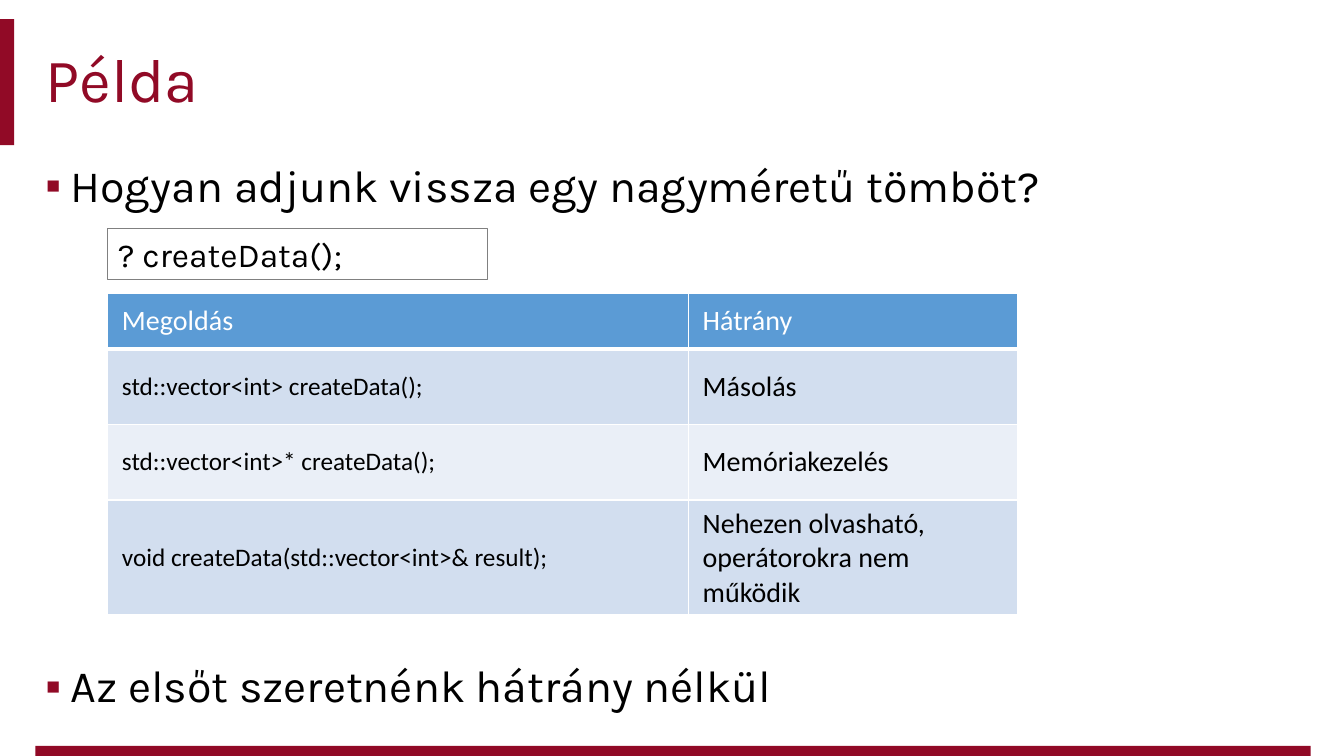
"""Build the slide on ways of returning a large array."""
from lxml.etree import SubElement
from pptx import Presentation
from pptx.dml.color import RGBColor
from pptx.enum.shapes import MSO_SHAPE
from pptx.enum.text import MSO_ANCHOR, MSO_AUTO_SIZE, PP_ALIGN
from pptx.oxml.ns import qn
from pptx.util import Inches, Pt


def color(hex_text):
    """Turn a hex string into a colour."""
    return RGBColor.from_string(hex_text)


def box(*lengths):
    """Turn lengths in inches into slide units."""
    return [Inches(length) for length in lengths]


class ExampleSlide:
    """Hold the style and the current slide."""

    ACCENT, BLACK, WHITE, GRAY = "910A26", "000000", "FFFFFF", "808080"
    HEADER, BANDS = "5B9BD5", ("D2DEEF", "EAEFF7")
    TEXT_FONT, TABLE_FONT = "Karla", "Calibri"

    def __init__(self, presentation):
        """Add a slide with a title and a body."""
        self.slide = presentation.slides.add_slide(presentation.slide_layouts[1])

    def style(self, paragraph, size, hex_text, font=TEXT_FONT):
        """Align a paragraph left and format its runs."""
        paragraph.alignment = PP_ALIGN.LEFT
        for run in paragraph.runs:
            run.font.size = Pt(size)
            run.font.name = font
            run.font.bold = False
            run.font.color.rgb = color(hex_text)

    def place(self, placeholder, bounds, anchor):
        """Move a placeholder and return its text frame."""
        (placeholder.left, placeholder.top,
         placeholder.width, placeholder.height) = box(*bounds)
        frame = placeholder.text_frame
        frame.word_wrap = True
        frame.auto_size = MSO_AUTO_SIZE.NONE
        frame.vertical_anchor = anchor
        return frame

    def bar(self, *bounds):
        """Draw a plain accent bar."""
        accent = self.slide.shapes.add_shape(MSO_SHAPE.RECTANGLE, *box(*bounds))
        accent.shadow.inherit = False
        accent.fill.solid()
        accent.fill.fore_color.rgb = color(self.ACCENT)
        accent.line.fill.background()

    def title(self, text, bounds):
        """Fill the title."""
        frame = self.place(self.slide.shapes.title, bounds, MSO_ANCHOR.MIDDLE)
        frame.text = text
        frame.paragraphs[0].line_spacing = 0.9
        self.style(frame.paragraphs[0], 44, self.ACCENT)

    def bullets(self, points, gap, bounds):
        """Fill the body with points set apart by a gap in points."""
        frame = self.place(self.slide.placeholders[1], bounds, MSO_ANCHOR.TOP)
        frame.text = "\n".join(points)
        for index, point in enumerate(frame.paragraphs):
            point.line_spacing = 0.9
            point.space_before = Pt(gap if index else 0)
            properties = point._p.get_or_add_pPr()
            properties.set("marL", str(Inches(0.25)))
            properties.set("indent", str(Inches(-0.25)))
            bullet_color = SubElement(properties, qn("a:buClr"))
            SubElement(bullet_color, qn("a:srgbClr"), val=self.ACCENT)
            SubElement(properties, qn("a:buChar"), char="▪")
            self.style(point, 32, self.BLACK)

    def code(self, text, bounds):
        """Draw an outlined box with code."""
        outline = self.slide.shapes.add_shape(MSO_SHAPE.RECTANGLE, *box(*bounds))
        outline.shadow.inherit = False
        outline.fill.background()
        outline.line.color.rgb = color(self.GRAY)
        outline.line.width = Pt(0.5)
        frame = outline.text_frame
        frame.word_wrap = True
        frame.auto_size = MSO_AUTO_SIZE.SHAPE_TO_FIT_TEXT
        frame.text = text
        self.style(frame.paragraphs[0], 24, self.BLACK)

    def borders(self, cell, bottom):
        """Give a cell white borders."""
        properties = cell._tc.get_or_add_tcPr()
        for side, width in (("L", 1), ("R", 1), ("T", 1), ("B", bottom)):
            line = SubElement(properties, qn(f"a:ln{side}"), w=str(Pt(width)))
            fill = SubElement(line, qn("a:solidFill"))
            SubElement(fill, qn("a:srgbClr"), val=self.WHITE)

    def table(self, rows, widths, heights, left, top):
        """Add a banded table with a header row."""
        table = self.slide.shapes.add_table(
            len(rows), len(widths),
            *box(left, top, sum(widths), sum(heights))).table
        for column, width in zip(table.columns, widths):
            column.width = Inches(width)
        for row, height in zip(table.rows, heights):
            row.height = Inches(height)
        for row_index, texts in enumerate(rows):
            header = row_index == 0
            for column_index, text in enumerate(texts):
                cell = table.cell(row_index, column_index)
                cell.text = text
                cell.vertical_anchor = MSO_ANCHOR.MIDDLE
                cell.margin_left = cell.margin_right = Inches(0.14)
                cell.margin_top = cell.margin_bottom = Inches(0.07)
                self.borders(cell, 3 if header else 1)
                cell.fill.solid()
                cell.fill.fore_color.rgb = color(
                    self.HEADER if header else self.BANDS[(row_index - 1) % 2])
                self.style(cell.text_frame.paragraphs[0],
                           20 if header or column_index else 18,
                           self.WHITE if header else self.BLACK,
                           self.TABLE_FONT)


def main():
    """Build and save the slide."""
    presentation = Presentation()
    presentation.slide_width, presentation.slide_height = box(13.33, 7.5)
    example = ExampleSlide(presentation)
    example.bar(0.35, 7.4, 12.65, 0.1)
    example.bar(0, 0.19, 0.14, 1.25)
    example.title("Példa", (0.35, 0.19, 12.65, 1.25))
    example.bullets(
        ["Hogyan adjunk vissza egy nagyméretű tömböt?",
         "Az elsőt szeretnénk hátrány nélkül"],
        323, (0.35, 1.57, 12.65, 5.62))
    example.code("? createData();", (1.07, 2.27, 3.76, 0.5))
    solutions = [
        ("Megoldás", "Hátrány"),
        ("std::vector<int> createData();", "Másolás"),
        ("std::vector<int>* createData();", "Memóriakezelés"),
        ("void createData(std::vector<int>& result);",
         "Nehezen olvasható, operátorokra nem működik"),
    ]
    example.table(solutions, (5.76, 3.26), (0.55, 0.75, 0.75, 1.13), 1.07, 2.91)
    presentation.save("out.pptx")


if __name__ == "__main__":
    main()
